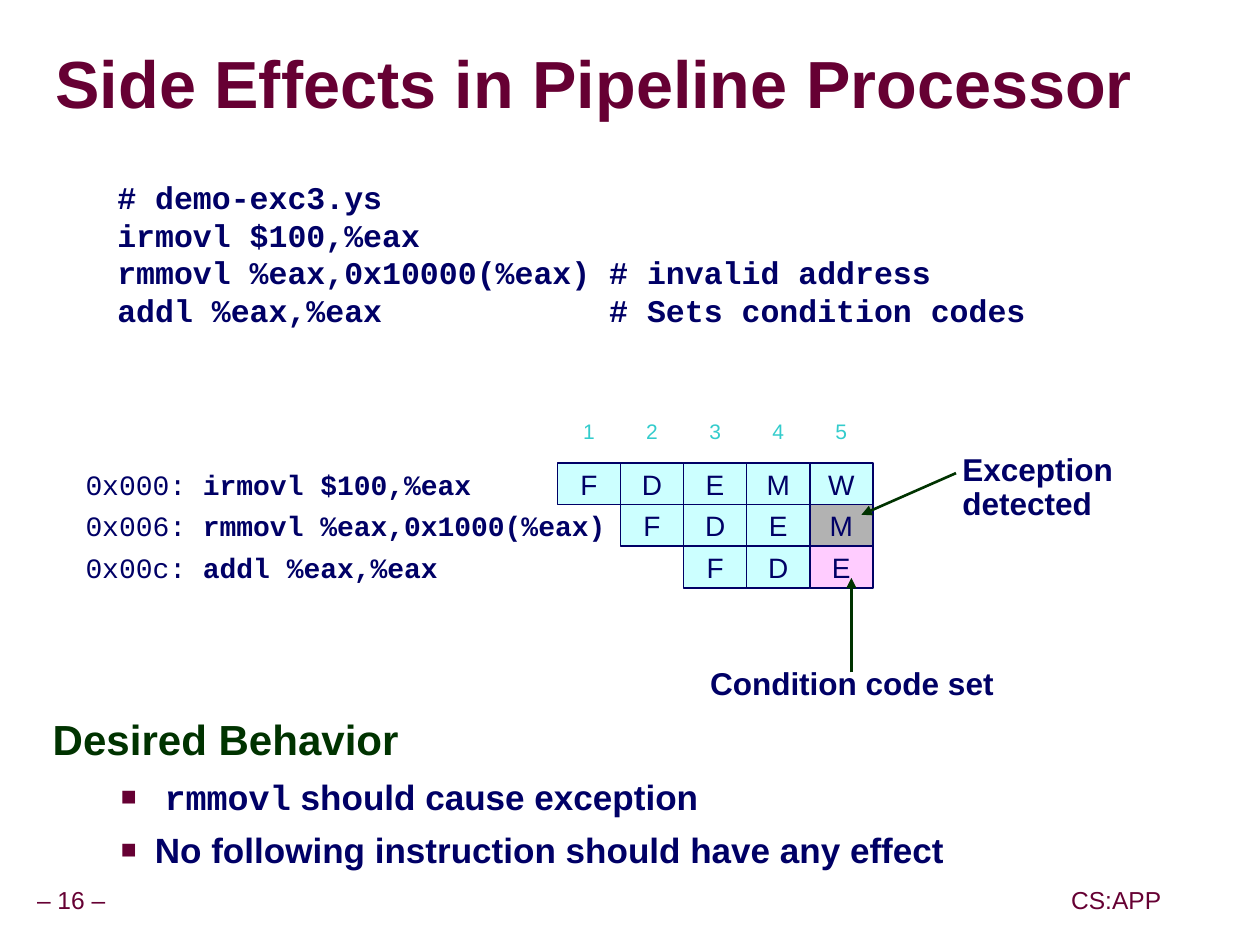
import pptx
import pptx.dml.color
import pptx.enum.shapes
import pptx.enum.text
import pptx.oxml
import pptx.oxml.ns
import pptx.util
from pptx.util import Inches

NAVY, MAROON, GREEN, TEAL = "000066", "660033", "003300", "33CCCC"
WHITE, CYAN, GREY, PINK = "FFFFFF", "CCFFFF", "B2B2B2", "FFCCFF"
SANS, MONO = "Arial", "Courier New"
LEFT = pptx.enum.text.PP_ALIGN.LEFT
CENTER = pptx.enum.text.PP_ALIGN.CENTER
TOP = pptx.enum.text.MSO_ANCHOR.TOP
MIDDLE = pptx.enum.text.MSO_ANCHOR.MIDDLE
CELL_W, CELL_H = 0.5, 0.33


def rgb(value):
    return pptx.dml.color.RGBColor.from_string(value)


def xml(tag, attrs="", inner=""):
    ns = pptx.oxml.ns.nsdecls("a")
    return pptx.oxml.parse_xml(f"<a:{tag} {ns} {attrs}>{inner}</a:{tag}>")


def add_run(p, text, size, color=NAVY, font=SANS, bold=False):
    r = p.add_run()
    r.text = text
    r.font.size = pptx.util.Pt(size)
    r.font.name = font
    r.font.bold = bold
    r.font.color.rgb = rgb(color)
    return r


def set_frame(sp, inset_x=0.05, inset_y=0.05, anchor=TOP, wrap=False):
    tf = sp.text_frame
    tf.margin_left = tf.margin_right = Inches(inset_x)
    tf.margin_top = tf.margin_bottom = Inches(inset_y)
    tf.vertical_anchor = anchor
    tf.word_wrap = wrap
    return tf


def add_text(s, box, **frame):
    return set_frame(s.shapes.add_textbox(*map(Inches, box)), **frame)


def add_label(s, box, text, size, color=NAVY, bold=False, align=LEFT, anchor=TOP):
    p = add_text(s, box, anchor=anchor).paragraphs[0]
    p.alignment = align
    p.line_spacing = 0.9
    add_run(p, text, size, color, bold=bold)


def add_cell(s, box, fill, line=None, align=CENTER):
    sp = s.shapes.add_shape(pptx.enum.shapes.MSO_SHAPE.RECTANGLE, *map(Inches, box))
    sp.shadow.inherit = False
    sp.fill.solid()
    sp.fill.fore_color.rgb = rgb(fill)
    if line:
        sp.line.color.rgb = rgb(line)
        sp.line.width = pptx.util.Pt(1)
    else:
        sp.line.fill.background()
    p = set_frame(sp, inset_x=0.1, anchor=MIDDLE).paragraphs[0]
    p.alignment = align
    return p


def add_arrow(s, start, end):
    kind = pptx.enum.shapes.MSO_CONNECTOR.STRAIGHT
    arrow = s.shapes.add_connector(kind, *map(Inches, start + end))
    arrow.line.color.rgb = rgb(GREEN)
    arrow.line.width = pptx.util.Pt(1.5)
    arrow.line._get_or_add_ln().append(xml("tailEnd", 'type="triangle"'))
    arrow._element.spPr.append(xml("effectLst"))


def add_title(s, box):
    tf = add_text(s, box, inset_x=0, inset_y=0, anchor=MIDDLE, wrap=True)
    p = tf.paragraphs[0]
    p.line_spacing = 0.87
    r = add_run(p, "Side Effects in Pipeline Processor", 38, MAROON, bold=True)
    shadow = xml("effectLst", inner='<a:outerShdw dist="50800" dir="2700000">'
                 '<a:srgbClr val="999999"/></a:outerShdw>')
    r.font._element.find(pptx.oxml.ns.qn("a:solidFill")).addnext(shadow)


def add_code(s, box):
    tf = add_text(s, box, wrap=True)
    lines = ["# demo-exc3.ys", "irmovl $100,%eax",
             "rmmovl %eax,0x10000(%eax)\t# invalid address",
             "addl %eax,%eax\t# Sets condition codes"]
    for i, line in enumerate(lines):
        p = tf.paragraphs[0] if i == 0 else tf.add_paragraph()
        comment_stop = f'<a:tab pos="{Inches(3.9)}" algn="l"/>'
        p._p.get_or_add_pPr().append(xml("tabLst", inner=comment_stop))
        add_run(p, line, 18, font=MONO, bold=True)


def add_pipeline(s, box):
    left, top, width, height = box
    grid_left = left + width - 5 * CELL_W
    grid_top = top + height - 3 * CELL_H
    for cycle in range(5):
        p = add_cell(s, (grid_left + cycle * CELL_W, top, CELL_W, CELL_H), WHITE)
        add_run(p, str(cycle + 1), 12, TEAL)
    instructions = [("0x000: ", "irmovl $100,%eax", "FDEMW", CYAN),
                    ("0x006: ", "rmmovl %eax,0x1000(%eax)", "FDEM", GREY),
                    ("0x00c: ", "addl %eax,%eax", "FDE", PINK)]
    for row, (address, code, stages, last_fill) in enumerate(instructions):
        y = grid_top + row * CELL_H
        p = add_cell(s, (left, y, 2.83, CELL_H), WHITE, align=LEFT)
        add_run(p, address, 16, font=MONO)
        add_run(p, code, 16, font=MONO, bold=True)
        for col, stage in enumerate(stages, start=row):
            fill = last_fill if col == 4 else CYAN
            p = add_cell(s, (grid_left + col * CELL_W, y, CELL_W, CELL_H), fill, NAVY)
            add_run(p, stage, 16)


def add_callouts(s, box):
    left, top, width, height = box
    right, bottom = left + width, top + height
    add_arrow(s, (right, top + 0.2), (right - 0.75, top + 0.53))
    add_label(s, (right, top, 2.39, 0.37), "Exception detected", 18, bold=True)
    add_arrow(s, (left + 1.17, bottom + 0.08), (left + 1.17, bottom - 0.67))
    add_label(s, (left, bottom, 2.35, 0.37), "Condition code set", 18,
              bold=True, align=CENTER)


def add_behavior(s, box):
    tf = add_text(s, box, inset_x=0.1, wrap=True)
    p = tf.paragraphs[0]
    p.line_spacing = 0.85
    add_run(p, "Desired Behavior", 24, GREEN, bold=True)
    bullets = [[(" ", SANS), ("rmmovl", MONO), (" should cause exception", SANS)],
               [("No following instruction should have any effect", SANS)]]
    for runs in bullets:
        p = tf.add_paragraph()
        pPr = p._p.get_or_add_pPr()
        pPr.set("marL", str(Inches(0.81)))
        pPr.set("indent", str(Inches(-0.27)))
        pPr.append(xml("buClr", inner=f'<a:srgbClr val="{MAROON}"/>'))
        pPr.append(xml("buSzPct", 'val="75000"'))
        pPr.append(xml("buFont", f'typeface="{SANS}"'))
        pPr.append(xml("buChar", 'char="■"'))
        p.space_before = pptx.util.Pt(6.2)
        for text, font in runs:
            add_run(p, text, 20, font=font, bold=True)


def add_footer(s, box):
    left, top, width, height = box
    for x, w, text in [(left, 0.81, "– 16 –"), (left + width - 0.82, 0.82, "CS:APP")]:
        add_label(s, (x, top, w, height), text, 14, MAROON, align=CENTER, anchor=MIDDLE)


def main():
    prs = pptx.Presentation()
    prs.slide_width, prs.slide_height = Inches(9.99), Inches(7.49)
    s = prs.slides.add_slide(prs.slide_layouts[6])
    add_footer(s, (0.16, 6.99, 9.1, 0.31))
    add_title(s, (0.44, 0.27, 9.52, 0.85))
    add_behavior(s, (0.32, 5.67, 9.07, 1.29))
    add_code(s, (0.88, 1.36, 8.62, 1.3))
    add_pipeline(s, (0.58, 3.25, 6.34, 1.41))
    add_callouts(s, (5.58, 3.55, 2, 1.7))
    prs.save("out.pptx")


if __name__ == "__main__":
    main()
